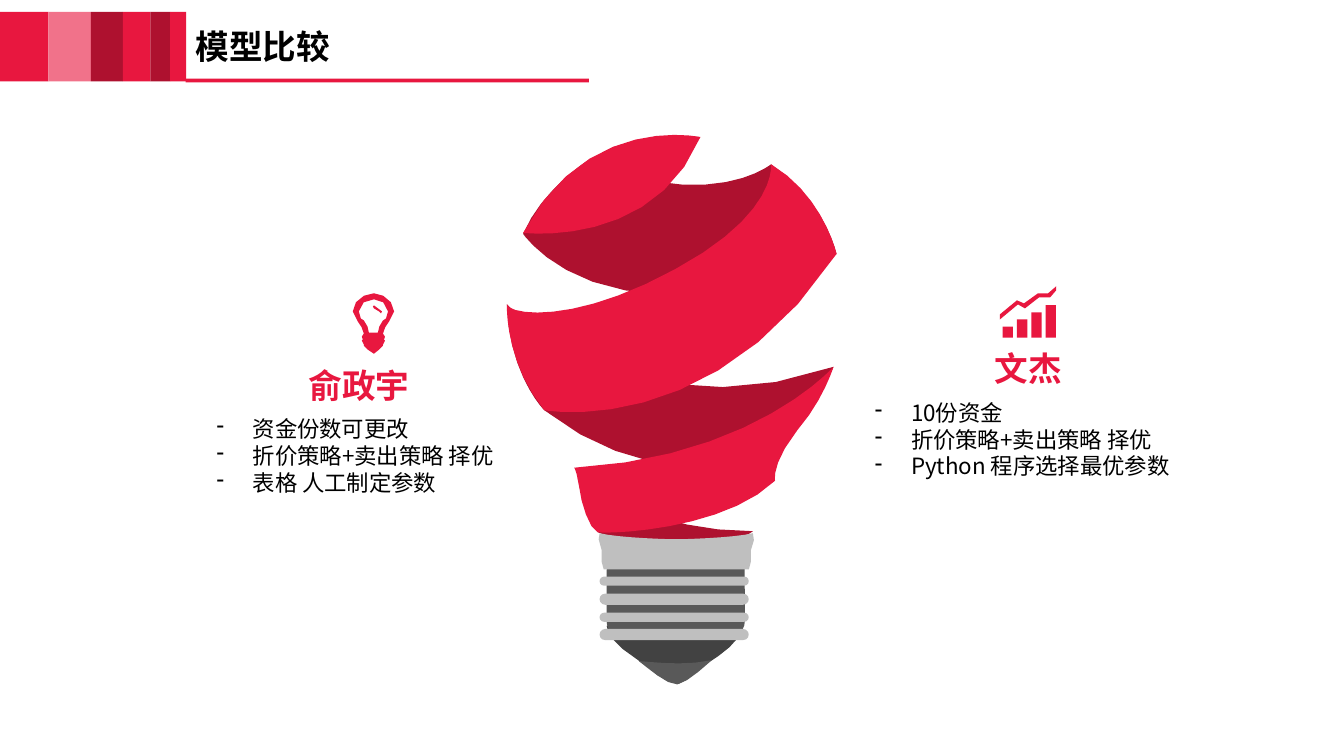
from dataclasses import dataclass
from itertools import accumulate
from math import ceil, dist

from lxml.etree import SubElement
from pptx import Presentation
from pptx.dml.color import RGBColor
from pptx.enum.shapes import MSO_SHAPE as Preset
from pptx.enum.text import MSO_ANCHOR as Anchor, MSO_AUTO_SIZE as AutoSize, PP_ALIGN as Align
from pptx.oxml.ns import qn
from pptx.shapes.base import BaseShape
from pptx.slide import Slide
from pptx.util import Cm, Pt

RED = RGBColor(0xE8, 0x17, 0x3F)
PINK = RGBColor(0xF1, 0x72, 0x8A)
DARK_RED = RGBColor(0xAE, 0x11, 0x2F)
CHARCOAL = RGBColor(0x42, 0x42, 0x42)
GRAY = RGBColor(0x59, 0x59, 0x59)
SILVER = RGBColor(0xBF, 0xBF, 0xBF)
BLACK = RGBColor(0, 0, 0)

FONT = "Noto Sans CJK SC"
CM_PER_UNIT = 2.54
STEPS_PER_UNIT = 8
MAX_STEPS = 10
HEADING = {"size": Pt(24), "bold": True, "name": FONT}
BODY = {"size": Pt(16), "bold": False, "name": FONT}

Point = tuple[float, float]
Contour = list[tuple[float, ...]]


@dataclass
class Block:
    left: float
    top: float
    width: float
    height: float
    color: RGBColor
    rounding: float = 0


@dataclass
class Outline:
    color: RGBColor
    contours: list[Contour]


@dataclass
class Label:
    left: float
    top: float
    width: float
    height: float
    lines: list[str]
    style: dict
    color: RGBColor = BLACK
    align: Align = Align.LEFT
    anchor: Anchor = Anchor.TOP
    inset: float = 0
    spacing: float = 1
    dashed: bool = False
    fit: AutoSize = AutoSize.SHAPE_TO_FIT_TEXT


RIBBONS = [
    Outline(DARK_RED, [[
        (5.19, 2.32), (5.99, 3.52, 8.3, 2.52), (8.19, 1.99, 7.65, 1.63),
        (7.07, 2.11, 5.82, 1.6), (5.37, 1.89, 5.19, 2.32)]]),
    Outline(DARK_RED, [[
        (5.03, 3.02), (6.29, 4.33, 8.27, 3.64), (8.16, 3.9, 8.02, 4.07),
        (7.89, 4.23, 7.74, 4.47, 7.74, 4.47), (6.6, 5.01, 5.4, 4.07),
        (5.05, 3.72, 5.03, 3.02)]]),
    Outline(DARK_RED, [[
        (5.7, 4.64), (6.25, 5.27, 7.47, 5.27), (6.91, 5.73, 5.93, 5.28),
        (5.77, 4.7, 5.7, 4.64)]]),
    Outline(RED, [[
        (8.27, 3.64), (7.48, 4.54, 5.7, 4.64), (5.74, 4.73, 5.75, 4.85),
        (5.76, 4.97, 5.85, 5.26, 5.93, 5.28), (6, 5.3, 7.17, 5.27, 7.69, 4.77),
        (7.65, 4.6, 7.91, 4.27), (8.17, 3.97, 8.27, 3.64, 8.27, 3.64)]]),
    Outline(RED, [[
        (7.65, 1.63), (7.72, 2.12, 6.7, 2.67), (5.68, 3.23, 5.05, 3.12, 5.03, 3.02),
        (5, 3.57, 5.4, 4.07), (7.06, 4.38, 8.3, 2.52), (8.17, 1.94, 7.65, 1.63)]]),
    Outline(RED, [[(5.19, 2.31), (6.49, 2.47, 6.95, 1.36), (5.82, 1.11, 5.19, 2.31)]]),
]
SOCKET_CONE = Outline(CHARCOAL, [[
    (6.02, 6.21), (6.02, 6.22, 6.04, 6.34, 6.18, 6.44), (6.61, 6.75),
    (6.71, 6.82, 6.78, 6.77, 6.8, 6.75), (6.82, 6.73, 6.88, 6.67, 7.02, 6.58),
    (7.15, 6.5, 7.36, 6.35, 7.36, 6.23), (7.36, 6.1, 6.02, 6.21, 6.02, 6.21)]])
SOCKET_COLLAR = Outline(SILVER, [[
    (7.47, 5.29), (7.32, 5.33, 6.86, 5.35, 6.71, 5.35),
    (6.56, 5.35, 6.1, 5.33, 5.95, 5.29), (5.91, 5.3, 5.94, 5.35),
    (5.97, 5.36, 5.97, 5.46), (5.98, 5.55, 5.95, 5.6, 5.99, 5.65), (7.43, 5.65),
    (7.47, 5.6, 7.44, 5.55, 7.45, 5.46), (7.46, 5.36, 7.48, 5.36, 7.48, 5.36),
    (7.51, 5.3, 7.47, 5.29, 7.47, 5.29)]])
SOCKET_TIP = Outline(GRAY, [[
    (6.34, 6.56), (6.34, 6.55, 6.75, 6.62, 7.06, 6.55),
    (6.82, 6.78, 6.72, 6.79), (6.62, 6.8, 6.42, 6.62, 6.34, 6.56)]])
BULB_ICON = Outline(RED, [
    [(3.86, 3.19), (3.84, 3.22, 3.8, 3.27, 3.8, 3.31), (3.82, 3.34), (3.81, 3.37),
     (3.82, 3.38), (3.8, 3.42), (3.8, 3.43), (3.76, 3.47),
     (3.75, 3.5, 3.74, 3.51, 3.71, 3.51), (3.69, 3.51, 3.66, 3.5, 3.65, 3.47),
     (3.61, 3.43), (3.61, 3.42), (3.59, 3.38), (3.6, 3.37), (3.59, 3.34), (3.61, 3.31),
     (3.61, 3.27, 3.57, 3.22, 3.55, 3.19), (3.52, 3.16, 3.5, 3.13, 3.5, 3.09),
     (3.5, 2.99, 3.61, 2.91, 3.71, 2.91), (3.8, 2.91, 3.91, 2.99, 3.91, 3.09),
     (3.91, 3.13, 3.89, 3.16, 3.86, 3.19)],
    [(3.71, 2.97), (3.64, 2.97, 3.56, 3.01, 3.56, 3.09), (3.58, 3.16), (3.61, 3.18),
     (3.64, 3.22, 3.66, 3.26, 3.66, 3.3), (3.75, 3.3),
     (3.75, 3.26, 3.77, 3.22, 3.8, 3.18), (3.83, 3.16), (3.85, 3.09),
     (3.85, 3.01, 3.77, 2.97, 3.71, 2.97)],
    [(3.78, 3.11), (3.76, 3.09), (3.71, 3.06), (3.7, 3.04), (3.71, 3.03),
     (3.75, 3.03, 3.79, 3.05, 3.79, 3.09), (3.78, 3.11)],
])
TREND_ARROW = Outline(RED, [[
    (10.4, 2.91), (10.3, 2.91), (10.16, 3.01), (10.09, 2.98), (9.92, 3.12), (9.92, 3.17),
    (10.1, 3.02), (10.17, 3.06), (10.31, 2.95), (10.42, 2.95), (10.48, 2.88), (10.48, 2.84)]])

STRIPE_WIDTHS = [1.22, 1.07, 0.81, 0.69, 0.5, 0.4]
STRIPE_COLORS = [RED, PINK, DARK_RED, RED, DARK_RED, RED]
STRIPES = [
    Block(right - width, 0.3, width, 1.75, color)
    for width, right, color in zip(STRIPE_WIDTHS, accumulate(STRIPE_WIDTHS), STRIPE_COLORS)
]
TITLE_RULE = Block(4.68, 1.98, 10.16, 0.1, RED)
SOCKET_BODY = Block(15.29, 14, 3.48, 2.03, GRAY, 0.18)
SOCKET_RINGS = [
    Block(15.11, top, 3.76, height, SILVER, 0.5)
    for top, height in [(14.53, 0.23), (14.96, 0.28), (15.44, 0.23), (15.85, 0.28)]
]
CHART_BARS = [
    Block(25.27 + 0.36 * i, 8.23 - 0.18 * i, 0.26, 0.28 + 0.18 * i, RED) for i in range(4)
]
LABELS = [
    Label(25.07, 8.76, 4.06, 1.02, ["文杰"], HEADING, RED),
    Label(3.56, 9.19, 6.76, 1.02, ["俞政宇"], HEADING, RED, Align.RIGHT),
    Label(4.85, 10.21, 8.33, 2.57,
          ["资金份数可更改", "折价策略+卖出策略 择优", "表格 人工制定参数"],
          BODY, inset=0.25, dashed=True),
    Label(21.44, 9.8, 9.07, 2.57,
          ["10份资金", "折价策略+卖出策略 择优", "Python 程序选择最优参数"],
          BODY, inset=0.25, dashed=True),
    Label(4.93, 0.79, 12.34, 0.86, ["模型比较"], HEADING,
          anchor=Anchor.MIDDLE, spacing=0.9, fit=AutoSize.NONE),
]


def paint(shape: BaseShape, color: RGBColor) -> None:
    shape.shadow.inherit = False
    shape.fill.solid()
    shape.fill.fore_color.rgb = color
    shape.line.fill.background()


def draw_block(page: Slide, block: Block) -> None:
    preset = Preset.ROUNDED_RECTANGLE if block.rounding else Preset.RECTANGLE
    shape = page.shapes.add_shape(
        preset, Cm(block.left), Cm(block.top), Cm(block.width), Cm(block.height))
    if block.rounding:
        shape.adjustments[0] = block.rounding
    paint(shape, block.color)


def trace(contour: Contour) -> list[Point]:
    points = [contour[0]]
    for segment in contour[1:]:
        start, end = points[-1], segment[-2:]
        if len(segment) == 2:
            points.append(end)
            continue
        first = segment[:2] if len(segment) == 6 else start
        second = segment[-4:-2]
        steps = min(MAX_STEPS, ceil(STEPS_PER_UNIT * dist(start, end)))
        for step in range(1, steps + 1):
            t = step / steps
            u = 1 - t
            points.append(tuple(
                u**3 * a + 3 * u * u * t * b + 3 * u * t * t * c + t**3 * d
                for a, b, c, d in zip(start, first, second, end)))
    return [(Cm(x * CM_PER_UNIT), Cm(y * CM_PER_UNIT)) for x, y in points]


def draw_outline(page: Slide, outline: Outline) -> None:
    first, *others = [trace(contour) for contour in outline.contours]
    builder = page.shapes.build_freeform(*first[0])
    builder.add_line_segments(first[1:])
    for points in others:
        builder.move_to(*points[0])
        builder.add_line_segments(points[1:])
    paint(builder.convert_to_shape(), outline.color)


def draw_label(page: Slide, label: Label) -> None:
    box = page.shapes.add_textbox(
        Cm(label.left), Cm(label.top), Cm(label.width), Cm(label.height))
    frame = box.text_frame
    layout = {"word_wrap": True, "auto_size": label.fit, "vertical_anchor": label.anchor}
    layout |= {f"margin_{side}": Cm(label.inset) for side in ("left", "top", "right", "bottom")}
    for key, value in layout.items():
        setattr(frame, key, value)
    for index, line in enumerate(label.lines):
        para = frame.add_paragraph() if index else frame.paragraphs[0]
        para.alignment, para.line_spacing = label.align, label.spacing
        if label.dashed:
            props = para._p.get_or_add_pPr()
            props.set("marL", str(Cm(1.27)))
            props.set("indent", str(Cm(-0.91)))
            tint = SubElement(props, qn("a:buClr"))
            SubElement(tint, qn("a:srgbClr")).set("val", str(label.color))
            SubElement(props, qn("a:buChar")).set("char", "-")
        span = para.add_run()
        span.text = line
        for key, value in label.style.items():
            setattr(span.font, key, value)
        span.font.color.rgb = label.color
        SubElement(span._r.get_or_add_rPr(), qn("a:ea")).set("typeface", FONT)


def main() -> None:
    deck = Presentation()
    deck.slide_width, deck.slide_height = Cm(33.87), Cm(19.05)
    page = deck.slides.add_slide(deck.slide_layouts[6])
    art = [*STRIPES, TITLE_RULE, *RIBBONS, SOCKET_CONE, SOCKET_BODY, SOCKET_COLLAR,
           *SOCKET_RINGS, SOCKET_TIP, BULB_ICON, *LABELS, *CHART_BARS, TREND_ARROW]
    painters = {Block: draw_block, Outline: draw_outline, Label: draw_label}
    for item in art:
        painters[type(item)](page, item)
    deck.save("out.pptx")


if __name__ == "__main__":
    main()
